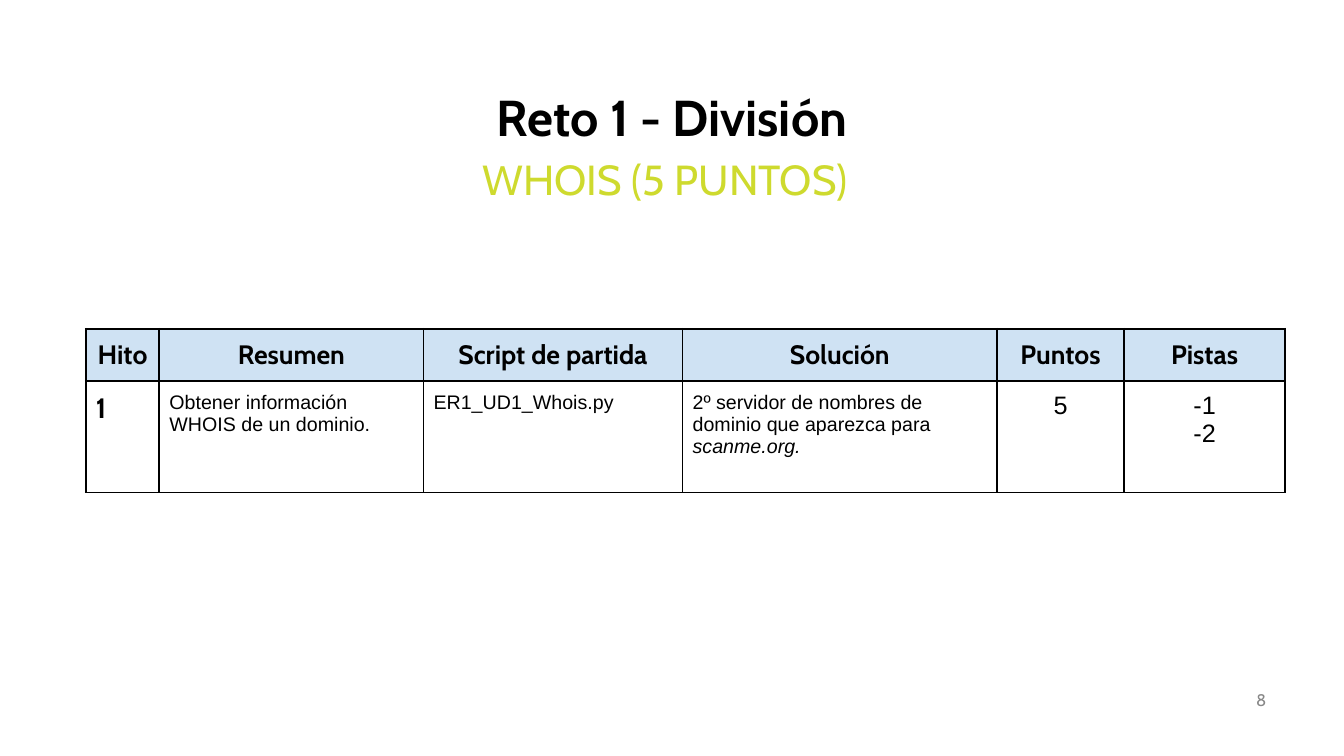
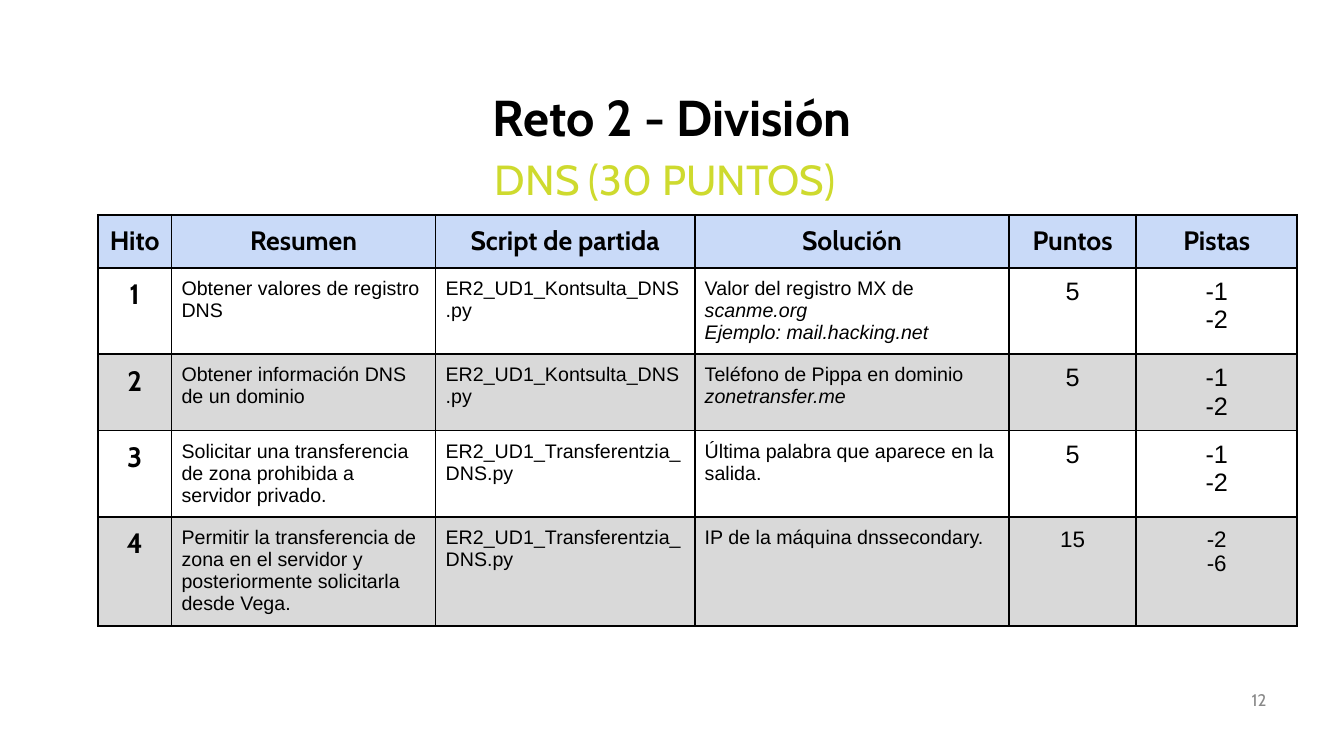
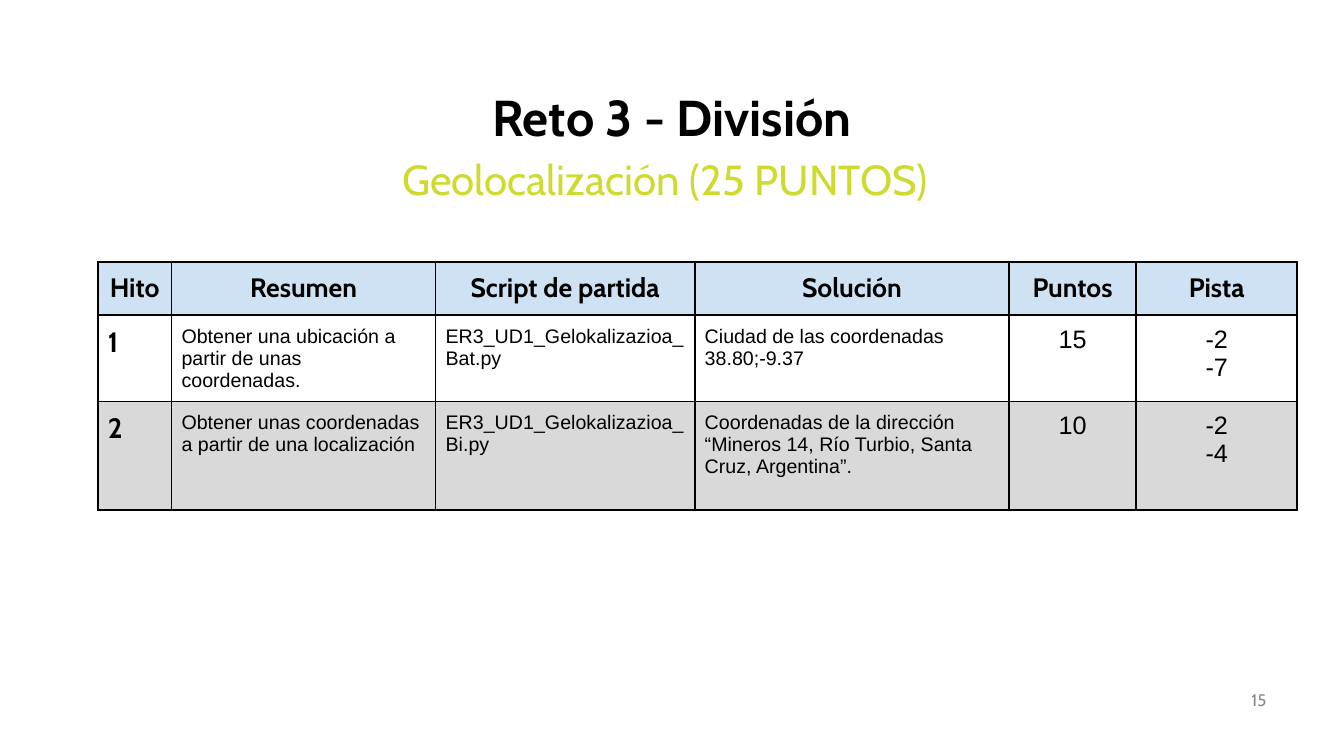
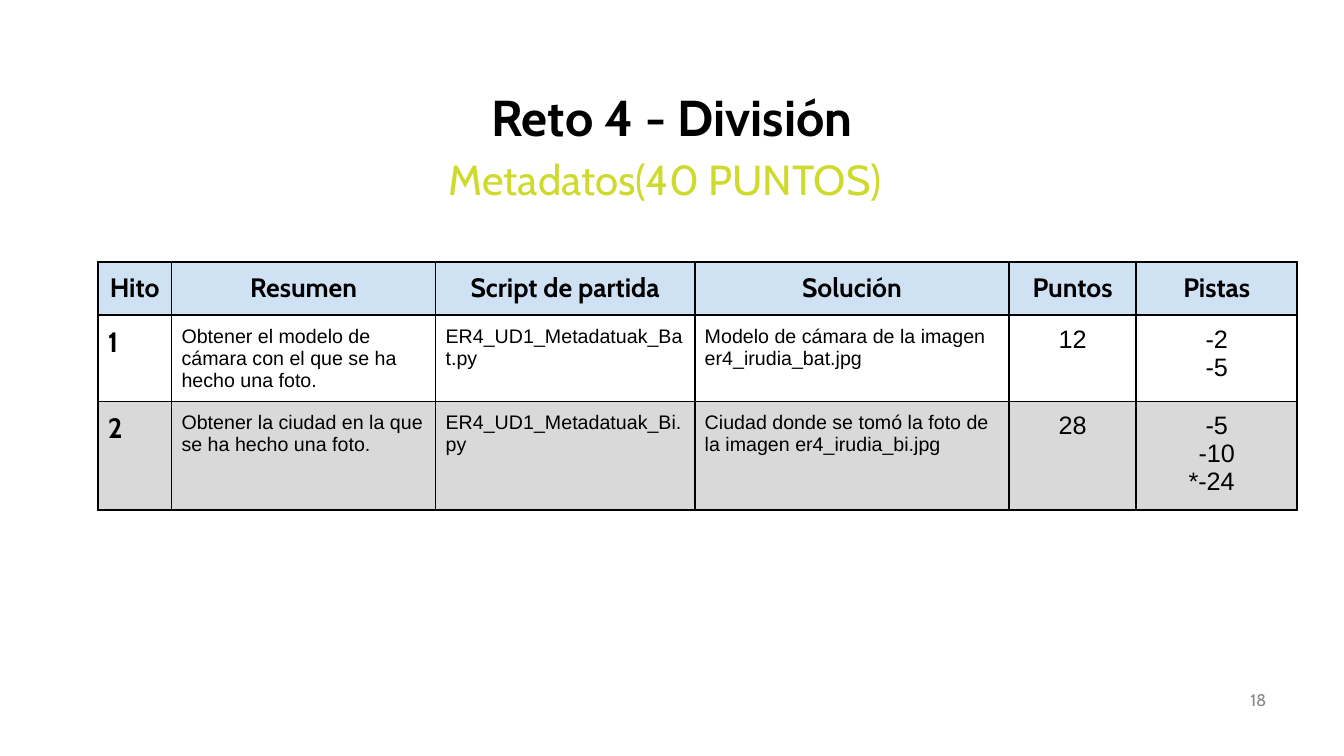
from dataclasses import dataclass

from lxml.etree import SubElement
from pptx import Presentation
from pptx.dml.color import RGBColor
from pptx.enum.text import MSO_ANCHOR, MSO_AUTO_SIZE, PP_ALIGN
from pptx.oxml.ns import qn
from pptx.util import Inches, Pt


@dataclass(frozen=True)
class Theme:
    # Colours
    ink: str = "000000"
    lime: str = "CEDA2E"
    mute: str = "888888"
    sky: str = "CFE2F3"
    blue: str = "C9DAF8"
    band: str = "D9D9D9"
    # Fonts
    head: str = "Cabin"
    body: str = "Arial"
    # Type sizes and line width, in points
    title: int = 36
    sub: int = 30
    top: int = 19
    mark: int = 20
    text: int = 14
    score: int = 18
    foot: int = 12
    rule: float = 1.5


T = Theme()
WIDE, HIGH = Inches(13.33), Inches(7.5)
LEFT, MID, RIGHT = PP_ALIGN.LEFT, PP_ALIGN.CENTER, PP_ALIGN.RIGHT

# Boxes are left, top, width, height in hundredths of the slide
TITLE = (5, 11.2, 90, 8.4)
SUB = (4.58, 19.6, 89.8, 6.27)
FOOT = (71.64, 89.87, 23.33, 5.33)
COLS = (5.48, 19.65, 19.28, 23.4, 9.45, 12)
PAD = Inches(0.1)
HEADS = ("Hito", "Resumen", "Script de partida", "Solución", "Puntos")


def across(share):
    return round(WIDE * share / 100)


def down(share):
    return round(HIGH * share / 100)


def place(box):
    left, top, wide, high = box
    return across(left), down(top), across(wide), down(high)


def write(frame, text, size, font, color=T.ink, bold=False, align=LEFT):
    """Write one paragraph a line; bars enclose italic runs."""
    for row, line in enumerate(text.split("\n")):
        para = frame.add_paragraph() if row else frame.paragraphs[0]
        para.alignment = align
        for turn, part in enumerate(line.split("|")):
            if not part:
                continue
            run = para.add_run()
            run.text = part
            run.font.size, run.font.name = Pt(size), font
            run.font.bold, run.font.italic = bold, turn % 2 == 1
            run.font.color.rgb = RGBColor.from_string(color)


def set_frame(frame, anchor):
    frame.word_wrap = True
    frame.auto_size = MSO_AUTO_SIZE.NONE
    frame.vertical_anchor = anchor
    frame.margin_left = frame.margin_right = Inches(0.1)
    frame.margin_top = frame.margin_bottom = Inches(0.05)


def add_label(slide, box, anchor, text, **style):
    frame = slide.shapes.add_textbox(*place(box)).text_frame
    set_frame(frame, anchor)
    write(frame, text, font=T.head, **style)


def add_title(slide, text):
    shape = slide.shapes.title
    shape.left, shape.top, shape.width, shape.height = place(TITLE)
    set_frame(shape.text_frame, MSO_ANCHOR.MIDDLE)
    write(shape.text_frame, text, T.title, T.head, bold=True, align=MID)


def style_cell(cell, fill):
    cell.margin_left = cell.margin_right = PAD
    cell.margin_top = cell.margin_bottom = PAD
    # Borders come before the fill in the cell properties
    props = cell._tc.get_or_add_tcPr()
    for side in ("a:lnL", "a:lnR", "a:lnT", "a:lnB"):
        line = SubElement(props, qn(side), w=str(Pt(T.rule)))
        solid = SubElement(line, qn("a:solidFill"))
        SubElement(solid, qn("a:srgbClr"), val=T.ink)
    if fill:
        cell.fill.solid()
        cell.fill.fore_color.rgb = RGBColor.from_string(fill)
    else:
        cell.fill.background()


def add_grid(slide, left, top, highs, rows, last="Pistas", tint=T.sky,
             mark=LEFT, small=()):
    """Draw the milestones; rows listed in small have smaller scores."""
    box = (left, top, sum(COLS), sum(highs))
    table = slide.shapes.add_table(len(highs), len(COLS), *place(box)).table
    table.horz_banding = table.first_row = False
    for col, share in zip(table.columns, COLS):
        col.width = across(share)
    for row, share in zip(table.rows, highs):
        row.height = down(share)

    # Heading row
    for col, text in enumerate((*HEADS, last)):
        cell = table.cell(0, col)
        style_cell(cell, tint)
        write(cell.text_frame, text, T.top, T.head, bold=True, align=MID)

    # Milestone rows, every second one shaded
    for row, texts in enumerate(rows, 1):
        score = T.score - 2 if row in small else T.score
        styles = [(T.mark, T.head, T.ink, True, mark)]
        styles += [(T.text, T.body)] * 3
        styles += [(score, T.body, T.ink, False, MID)] * 2
        for col, text in enumerate((str(row), *texts)):
            cell = table.cell(row, col)
            style_cell(cell, None if row % 2 else T.band)
            write(cell.text_frame, text, *styles[col])
    return table


def add_slide(deck, title, sub, page, **grid):
    slide = deck.slides.add_slide(deck.slide_layouts[5])
    add_title(slide, title)
    add_label(slide, FOOT, MSO_ANCHOR.MIDDLE, page,
              size=T.foot, color=T.mute, align=RIGHT)
    add_label(slide, SUB, MSO_ANCHOR.TOP, sub,
              size=T.sub, color=T.lime, align=MID)
    return add_grid(slide, **grid)


def main():
    deck = Presentation()
    deck.slide_width, deck.slide_height = WIDE, HIGH

    # WHOIS
    add_slide(
        deck, "Reto 1 - División", "WHOIS (5 PUNTOS)", "8",
        left=6.38, top=43.5, highs=(6.95, 14.7),
        rows=[
            ("Obtener información WHOIS de un dominio.", "ER1_UD1_Whois.py",
             "2º servidor de nombres de dominio que aparezca para "
             "|scanme.org.|", "5", "-1\n-2"),
        ])

    # DNS
    add_slide(
        deck, "Reto 2 - División", "DNS (30 PUNTOS)", "12",
        left=7.28, top=28.4, highs=(7, 11.4, 10.1, 11.4, 14.4),
        tint=T.blue, mark=MID, small=(4,),
        rows=[
            ("Obtener valores de registro DNS", "ER2_UD1_Kontsulta_DNS.py",
             "Valor del registro MX de |scanme.org|\n"
             "|Ejemplo: mail.hacking.net|", "5", "-1\n-2"),
            ("Obtener información DNS de un dominio",
             "ER2_UD1_Kontsulta_DNS.py",
             "Teléfono de Pippa en dominio |zonetransfer.me|", "5", "-1\n-2"),
            ("Solicitar una transferencia de zona prohibida a servidor "
             "privado.", "ER2_UD1_Transferentzia_DNS.py",
             "Última palabra que aparece en la salida.", "5", "-1\n-2"),
            ("Permitir la transferencia de zona en el servidor y "
             "posteriormente solicitarla desde Vega.",
             "ER2_UD1_Transferentzia_DNS.py",
             "IP de la máquina dnssecondary.", "15", "-2\n-6"),
        ])

    # Geolocation and metadata share one place and row rhythm
    pair = dict(left=7.28, top=34.7, highs=(7, 11.4, 14.3))
    add_slide(
        deck, "Reto 3 - División", "Geolocalización (25 PUNTOS)", "15",
        **pair, last="Pista",
        rows=[
            ("Obtener una ubicación a partir de unas coordenadas.",
             "ER3_UD1_Gelokalizazioa_Bat.py",
             "Ciudad de las coordenadas 38.80;-9.37", "15", "-2\n-7"),
            ("Obtener unas coordenadas a partir de una localización",
             "ER3_UD1_Gelokalizazioa_Bi.py",
             "Coordenadas de la dirección “Mineros 14, Río Turbio, Santa "
             "Cruz, Argentina”.", "10", "-2\n-4"),
        ])
    table = add_slide(
        deck, "Reto 4 - División", "Metadatos(40 PUNTOS)", "18",
        **pair,
        rows=[
            ("Obtener el modelo de cámara con el que se ha hecho una foto.",
             "ER4_UD1_Metadatuak_Bat.py",
             "Modelo de cámara de la imagen er4_irudia_bat.jpg",
             "12", "-2\n-5"),
            ("Obtener la ciudad en la que se ha hecho una foto.",
             "ER4_UD1_Metadatuak_Bi.py",
             "Ciudad donde se tomó la foto de la imagen er4_irudia_bi.jpg",
             "28", "-5\n-10\n*-24"),
        ])

    # The starred hint is indented from the left
    star = table.cell(2, 5).text_frame.paragraphs[-1]
    star.alignment = LEFT
    star._p.get_or_add_pPr().set("marL", str(Inches(0.42)))

    deck.save("out.pptx")


if __name__ == "__main__":
    main()
